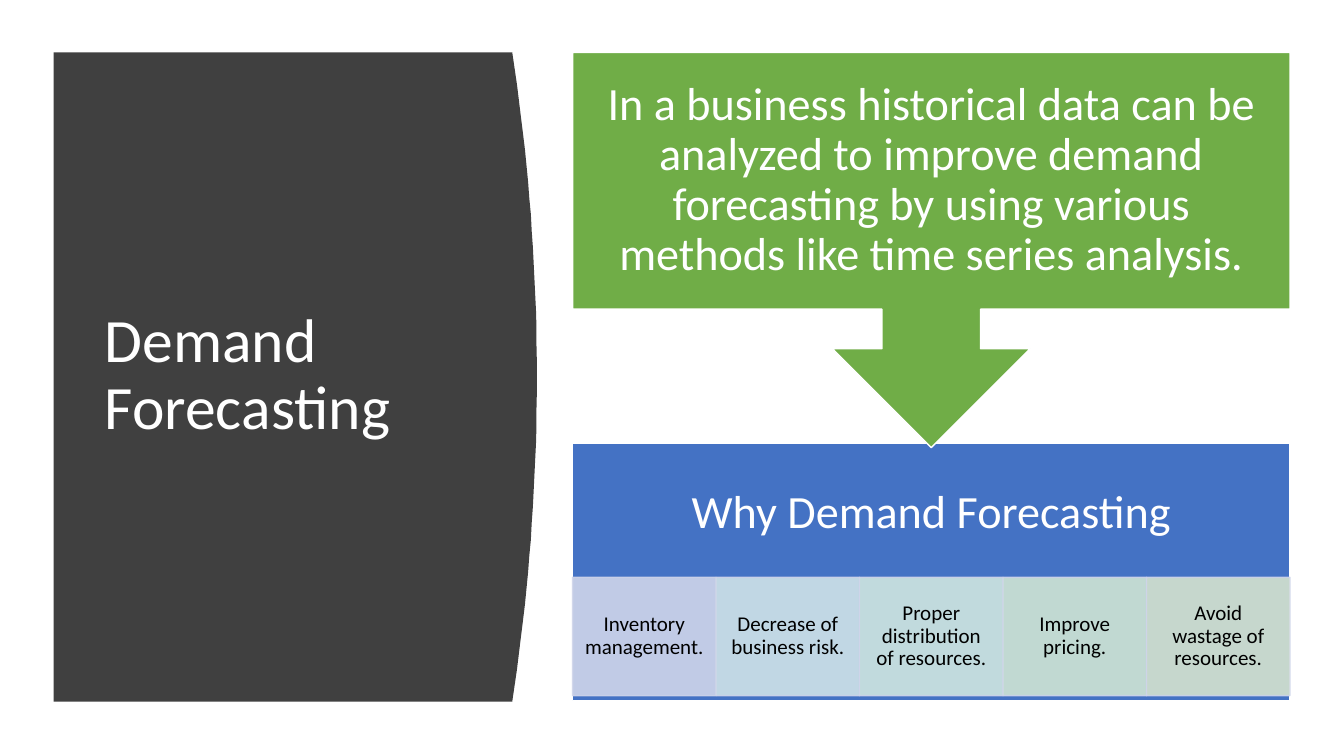
from lxml import etree
from pptx import Presentation
from pptx import util as u
from pptx.dml.color import RGBColor
from pptx.enum import shapes, text
from pptx.oxml.ns import qn

COLORS = {
    "panel": "404040",
    "header": "4472C4",
    "callout": "70AD47",
    "edge": "CFD5EA",
    "white": "FFFFFF",
    "black": "000000",
}

REASONS = [
    ("Inventory management.", "CFD5EA"),
    ("Decrease of business risk.", "CFE2E8"),
    ("Proper distribution of resources.", "CFE6E0"),
    ("Improve pricing.", "CFE5D4"),
    ("Avoid wastage of resources.", "D5E3CF"),
]


class SlideBuilder:
    font = "Calibri"
    line_spacing = 0.9

    def __init__(self, presentation):
        self.slide = presentation.slides.add_slide(presentation.slide_layouts[5])

    def set_text(self, shape, content, size, color, insets, align):
        frame = shape.text_frame
        frame.text = content
        frame.word_wrap = True
        frame.auto_size = text.MSO_AUTO_SIZE.NONE
        frame.vertical_anchor = text.MSO_ANCHOR.MIDDLE
        (frame.margin_left, frame.margin_top,
         frame.margin_right, frame.margin_bottom) = map(u.Cm, insets)
        paragraph = frame.paragraphs[0]
        paragraph.alignment = align
        paragraph.line_spacing = self.line_spacing
        font = paragraph.runs[0].font
        font.name = self.font
        font.size = u.Pt(size)
        font.color.rgb = RGBColor.from_string(color)

    def paint(self, shape, fill, line=None, opacity=100):
        shape.shadow.inherit = False
        shape.fill.solid()
        shape.fill.fore_color.rgb = RGBColor.from_string(fill)
        if line is None:
            shape.line.fill.background()
        else:
            shape.line.color.rgb = RGBColor.from_string(line)
            shape.line.width = u.Pt(1)
        if opacity < 100:
            for color in shape._element.spPr.iter(qn("a:srgbClr")):
                alpha = etree.SubElement(color, qn("a:alpha"))
                alpha.set("val", str(opacity * 1000))

    def title(self, content, box):
        title = self.slide.shapes.title
        title.left, title.top, title.width, title.height = map(u.Cm, box)
        self.set_text(title, content, 44, COLORS["white"],
                      (0.25, 0.13, 0.25, 0.13), text.PP_ALIGN.LEFT)

    def curved_panel(self, left, top, width, height, bulge, steps=40):
        edge = []
        for step in range(steps + 1):
            offset = 2 * step / steps - 1
            x = left + width + bulge * (1 - offset ** 2)
            edge.append((x * 100, (top + height * step / steps) * 100))
        builder = self.slide.shapes.build_freeform(
            left * 100, top * 100, scale=u.Cm(0.01))
        builder.add_line_segments(edge + [(left * 100, (top + height) * 100)])
        self.paint(builder.convert_to_shape(), COLORS["panel"])

    def block(self, kind, box, content, size, fill, insets,
              line=COLORS["white"], color=COLORS["white"], opacity=100):
        shape = self.slide.shapes.add_shape(kind, *map(u.Cm, box))
        self.paint(shape, fill, line, opacity)
        self.set_text(shape, content, size, color, insets, text.PP_ALIGN.CENTER)


def main():
    presentation = Presentation()
    presentation.slide_width = u.Cm(33.87)
    presentation.slide_height = u.Cm(19.05)
    builder = SlideBuilder(presentation)
    kinds = shapes.MSO_SHAPE

    builder.curved_panel(1.35, 1.32, 11.56, 16.36, bulge=0.62)
    builder.title("Demand Forecasting", (2.39, 2.82, 9.5, 13.31))
    title_element = builder.slide.shapes.title._element
    title_element.getparent().append(title_element)

    left, width, inset = 14.43, 18.08, 0.66
    builder.block(kinds.RECTANGLE, (left, 11.18, width, 6.48),
                  "Why Demand Forecasting", 33, COLORS["header"],
                  (inset, inset, inset, 3.63))

    cell_width = width / len(REASONS)
    for index, (reason, fill) in enumerate(REASONS):
        builder.block(kinds.RECTANGLE,
                      (left + index * cell_width, 14.55, cell_width, 2.98),
                      reason, 15, fill, (0.3, 0.05, 0.3, 0.05),
                      COLORS["edge"], COLORS["black"], opacity=90)

    builder.block(kinds.DOWN_ARROW_CALLOUT, (left, 1.32, width, 9.96),
                  "In a business historical data can be analyzed to improve "
                  "demand forecasting by using various methods like time "
                  "series analysis.", 33, COLORS["callout"], (inset,) * 4)

    presentation.save("out.pptx")


if __name__ == "__main__":
    main()
